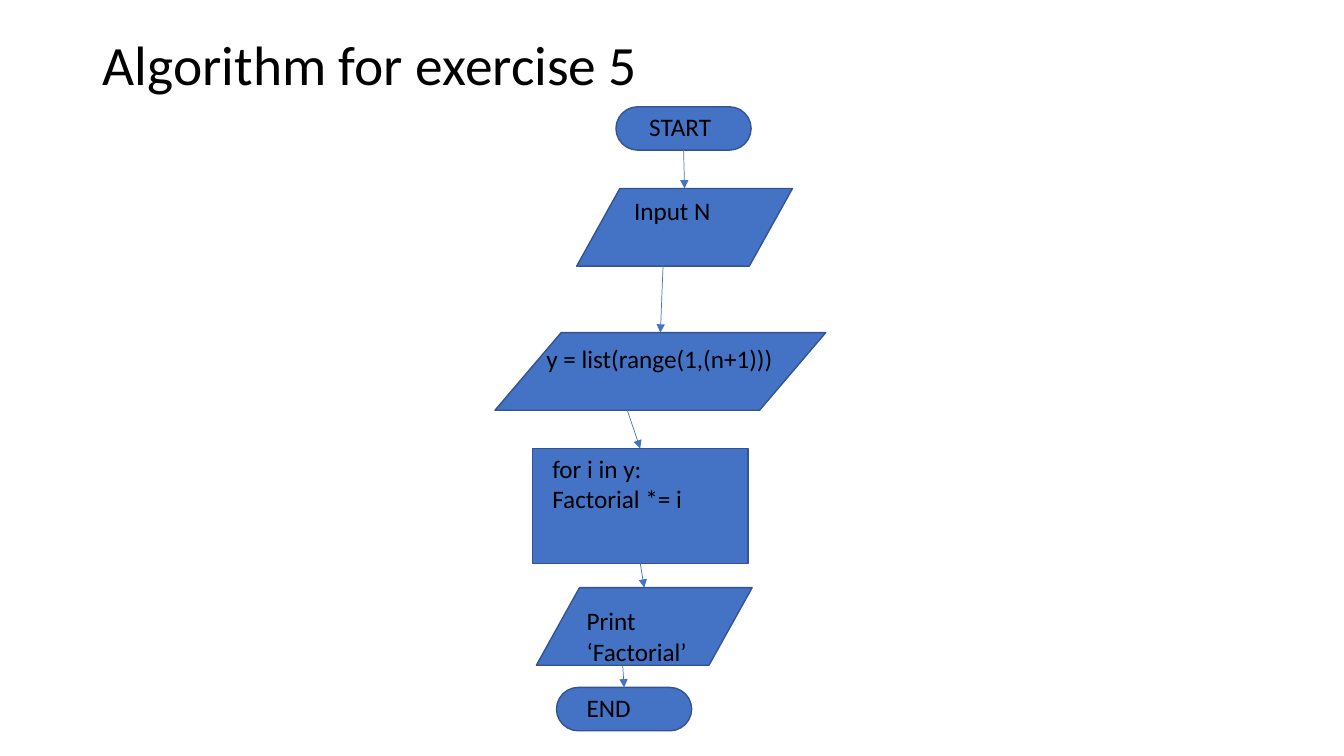
from dataclasses import dataclass
from itertools import pairwise

from lxml import etree
from pptx import Presentation
from pptx import util as u
from pptx.dml.color import RGBColor
from pptx.enum import shapes, text
from pptx.oxml.ns import qn
from pptx.shapes.autoshape import Shape
from pptx.slide import Slide
from pptx.text.text import TextFrame

FONT = "Calibri"
BLACK, BLUE, OUTLINE = "000000", "4472C4", "325491"
TERMINATOR = shapes.MSO_SHAPE.FLOWCHART_TERMINATOR
DATA = shapes.MSO_SHAPE.FLOWCHART_DATA
PROCESS = shapes.MSO_SHAPE.FLOWCHART_PROCESS

Box = tuple[float, float, float, float]


@dataclass(frozen=True)
class Step:
    kind: shapes.MSO_SHAPE
    box: Box
    label: str
    label_box: Box
    exit_share: float = 0.5


STEPS = [
    Step(TERMINATOR, (6.11, 1.06, 1.34, 0.43), "START", (6.34, 1.06, 0.96, 0.4)),
    Step(DATA, (5.72, 1.87, 2.14, 0.77), "Input N", (6.19, 1.89, 1.27, 0.4), 0.4),
    Step(DATA, (4.91, 3.3, 3.28, 0.77), "y = list(range(1,(n+1)))", (5.32, 3.36, 2.58, 0.4), 0.4),
    Step(PROCESS, (5.28, 4.45, 2.14, 1.14), "for i in y:\nFactorial *= i", (5.38, 4.45, 2.03, 1.01)),
    Step(DATA, (5.32, 5.83, 2.14, 0.77), "Print ‘Factorial’", (5.72, 5.96, 1.41, 0.71), 0.4),
    Step(TERMINATOR, (5.52, 6.82, 1.34, 0.43), "END", (5.72, 6.82, 1.07, 0.4)),
]


def colour(value: str) -> RGBColor:
    return RGBColor.from_string(value)


def write(frame: TextFrame, content: str, *, size: float, spacing: float = 1.0,
          anchor: text.MSO_ANCHOR = text.MSO_ANCHOR.TOP) -> None:
    frame.word_wrap = True
    frame.auto_size = text.MSO_AUTO_SIZE.NONE
    frame.vertical_anchor = anchor
    frame.text = content
    for paragraph in frame.paragraphs:
        paragraph.alignment = text.PP_ALIGN.LEFT
        paragraph.line_spacing = spacing
        for run in paragraph.runs:
            run.font.name = FONT
            run.font.size = u.Pt(size)
            run.font.color.rgb = colour(BLACK)


def place(shape: Shape, box: Box) -> None:
    shape.left, shape.top, shape.width, shape.height = map(u.Inches, box)


def draw_step(slide: Slide, step: Step) -> None:
    shape = slide.shapes.add_shape(step.kind, *map(u.Inches, step.box))
    shape.shadow.inherit = False
    shape.fill.solid()
    shape.fill.fore_color.rgb = colour(BLUE)
    shape.line.color.rgb = colour(OUTLINE)
    shape.line.width = u.Pt(1)


def draw_arrow(slide: Slide, source: Step, target: Step) -> None:
    left, top, width, height = source.box
    target_left, target_top, target_width, _ = target.box
    ends = (left + width * source.exit_share, top + height,
            target_left + target_width / 2, target_top)
    arrow = slide.shapes.add_connector(shapes.MSO_CONNECTOR.STRAIGHT, *map(u.Inches, ends))
    arrow.line.color.rgb = colour(BLUE)
    arrow.line.width = u.Pt(0.5)
    etree.SubElement(arrow.line._get_or_add_ln(), qn("a:tailEnd"), type="triangle")
    etree.SubElement(arrow._element.spPr, qn("a:effectLst"))


def main() -> None:
    """Build the factorial flowchart slide."""
    presentation = Presentation()
    presentation.slide_width = u.Inches(13.33)
    presentation.slide_height = u.Inches(7.5)
    slide = presentation.slides.add_slide(presentation.slide_layouts.get_by_name("Title Only"))

    title = slide.shapes.title
    place(title, (0.92, 0.4, 11.5, 0.54))
    write(title.text_frame, "Algorithm for exercise 5", size=39.6, spacing=0.9,
          anchor=text.MSO_ANCHOR.MIDDLE)

    for step in STEPS:
        draw_step(slide, step)
    for source, target in pairwise(STEPS):
        draw_arrow(slide, source, target)
    for step in STEPS:
        label = slide.shapes.add_textbox(*map(u.Inches, step.label_box))
        write(label.text_frame, step.label, size=18)

    presentation.save("out.pptx")


if __name__ == "__main__":
    main()
